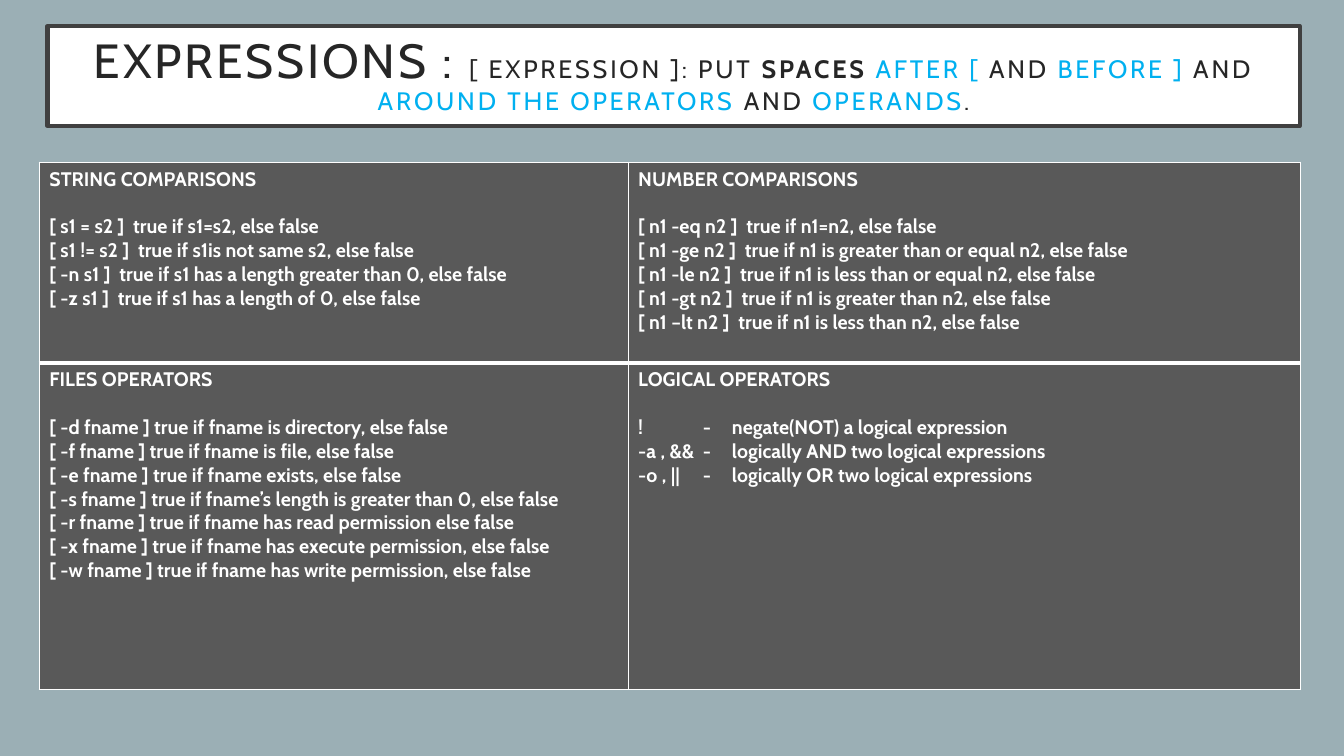
"""Build the slide on shell test expressions: a title and a grid of operators."""
from dataclasses import dataclass

from lxml import etree
from pptx import Presentation
from pptx.dml.color import RGBColor
from pptx.enum.text import MSO_ANCHOR, MSO_AUTO_SIZE, PP_ALIGN
from pptx.oxml.ns import qn
from pptx.util import Inches, Pt

CENTER, LEFT = PP_ALIGN.CENTER, PP_ALIGN.LEFT
MIDDLE, TOP = MSO_ANCHOR.MIDDLE, MSO_ANCHOR.TOP
NO_AUTOFIT = MSO_AUTO_SIZE.NONE


@dataclass(frozen=True)
class Theme:
    font: str = "Cabin"
    backdrop: str = "9BAFB5"
    paper: str = "FFFFFF"
    frame: str = "404040"
    ink: str = "262626"
    accent: str = "00B0F0"
    cell: str = "595959"
    title_size: float = 34.2
    rule_size: float = 18
    table_size: float = 14
    heading_gap: float = 17
    thin: float = 1
    thick: float = 3


THEME = Theme()

NAME = {"size": THEME.title_size}
RULE = {}
STRONG = {"bold": True}
ACCENT = {"color": THEME.accent}

TITLE = [
    ("EXPRESSIONS : ", NAME),
    ("[ EXPRESSION ]: PUT ", RULE),
    ("SPACES ", STRONG),
    ("AFTER [", ACCENT),
    (" AND ", RULE),
    ("BEFORE ]", ACCENT),
    (" AND ", RULE),
    ("AROUND THE OPERATORS ", ACCENT),
    ("AND ", RULE),
    ("OPERANDS", ACCENT),
    (".", RULE),
]

OPERATORS = [
    [
        ("STRING COMPARISONS", [
            "[ s1 = s2 ]  true if s1=s2, else false",
            "[ s1 != s2 ]  true if s1is not same s2, else false",
            "[ -n s1 ]  true if s1 has a length greater than 0, else false",
            "[ -z s1 ]  true if s1 has a length of 0, else false",
        ]),
        ("NUMBER COMPARISONS", [
            "[ n1 -eq n2 ]  true if n1=n2, else false",
            "[ n1 -ge n2 ]  true if n1 is greater than or equal n2, else false",
            "[ n1 -le n2 ]  true if n1 is less than or equal n2, else false",
            "[ n1 -gt n2 ]  true if n1 is greater than n2, else false",
            "[ n1 –lt n2 ]  true if n1 is less than n2, else false",
        ]),
    ],
    [
        ("FILES OPERATORS", [
            "[ -d fname ] true if fname is directory, else false",
            "[ -f fname ] true if fname is file, else false",
            "[ -e fname ] true if fname exists, else false",
            "[ -s fname ] true if fname’s length is greater than 0, else false",
            "[ -r fname ] true if fname has read permission else false",
            "[ -x fname ] true if fname has execute permission, else false",
            "[ -w fname ] true if fname has write permission, else false",
        ]),
        ("LOGICAL OPERATORS", [
            "!\t-\tnegate(NOT) a logical expression",
            "-a , &&\t-\tlogically AND two logical expressions",
            "-o , ||\t-\tlogically OR two logical expressions",
        ]),
    ],
]

SLIDE_SIZE = (13.33, 7.5)
TITLE_BOX = (0.47, 0.26, 12.42, 0.99)
TITLE_INSETS = (0.3, 0.2)
TABLE_ORIGIN = (0.39, 1.61)
COLUMNS = (5.84, 6.67)
ROWS = (1.99, 3.24)
TAB_STOPS = (0.64, 0.93)


def rgb(color):
    return RGBColor.from_string(color)


def write(paragraph, text, *, size, color, bold=False, spacing=0, align=LEFT):
    paragraph.alignment = align
    run = paragraph.add_run()
    run.text = text
    run.font.name = THEME.font
    run.font.size = Pt(size)
    run.font.bold = bold
    run.font.color.rgb = rgb(color)
    if spacing:
        run.font._element.set("spc", str(spacing * 100))


def set_tabs(paragraph):
    tabs = etree.SubElement(paragraph._p.get_or_add_pPr(), qn("a:tabLst"))
    for stop in TAB_STOPS:
        etree.SubElement(tabs, qn("a:tab"), pos=str(Inches(stop)), algn="l")


def set_borders(cell, bottom):
    properties = cell._tc.get_or_add_tcPr()
    widths = {"L": THEME.thin, "R": THEME.thin, "T": THEME.thin, "B": bottom}
    for place, (side, width) in enumerate(widths.items()):
        edge = etree.Element(qn(f"a:ln{side}"), w=str(Pt(width)))
        solid = etree.SubElement(edge, qn("a:solidFill"))
        etree.SubElement(solid, qn("a:srgbClr"), val=THEME.paper)
        properties.insert(place, edge)


def add_title(slide):
    title = slide.shapes.title
    title.left, title.top, title.width, title.height = map(Inches, TITLE_BOX)
    title.fill.solid()
    title.fill.fore_color.rgb = rgb(THEME.paper)
    title.line.color.rgb = rgb(THEME.frame)
    title.line.width = Pt(THEME.thick)
    frame = title.text_frame
    frame.word_wrap = True
    frame.auto_size = NO_AUTOFIT
    frame.vertical_anchor = MIDDLE
    frame.margin_left = frame.margin_right = Inches(TITLE_INSETS[0])
    frame.margin_top = frame.margin_bottom = Inches(TITLE_INSETS[1])
    heading = frame.paragraphs[0]
    heading.line_spacing = 0.9
    heading.space_before = Pt(0)
    base = {"size": THEME.rule_size, "color": THEME.ink, "spacing": 2, "align": CENTER}
    for words, style in TITLE:
        write(heading, words, **{**base, **style})


def fill_cell(cell, heading, tests, bottom):
    cell.fill.solid()
    cell.fill.fore_color.rgb = rgb(THEME.cell)
    cell.vertical_anchor = TOP
    set_borders(cell, bottom)
    frame = cell.text_frame
    for number, line in enumerate([heading, *tests]):
        paragraph = frame.add_paragraph() if number else frame.paragraphs[0]
        write(paragraph, line, size=THEME.table_size, color=THEME.paper, bold=True)
        if number == 0:
            paragraph.space_after = Pt(THEME.heading_gap)
        if "\t" in line:
            set_tabs(paragraph)


def add_operators(slide):
    box = map(Inches, (*TABLE_ORIGIN, sum(COLUMNS), sum(ROWS)))
    table = slide.shapes.add_table(len(ROWS), len(COLUMNS), *box).table
    for column, width in zip(table.columns, COLUMNS):
        column.width = Inches(width)
    for row, height in zip(table.rows, ROWS):
        row.height = Inches(height)
    for r, groups in enumerate(OPERATORS):
        bottom = THEME.thin if r else THEME.thick
        for c, (heading, tests) in enumerate(groups):
            fill_cell(table.cell(r, c), heading, tests, bottom)


def main():
    deck = Presentation()
    deck.slide_width, deck.slide_height = map(Inches, SLIDE_SIZE)
    slide = deck.slides.add_slide(deck.slide_layouts.get_by_name("Title Only"))
    slide.background.fill.solid()
    slide.background.fill.fore_color.rgb = rgb(THEME.backdrop)
    add_title(slide)
    add_operators(slide)
    deck.save("out.pptx")


if __name__ == "__main__":
    main()
